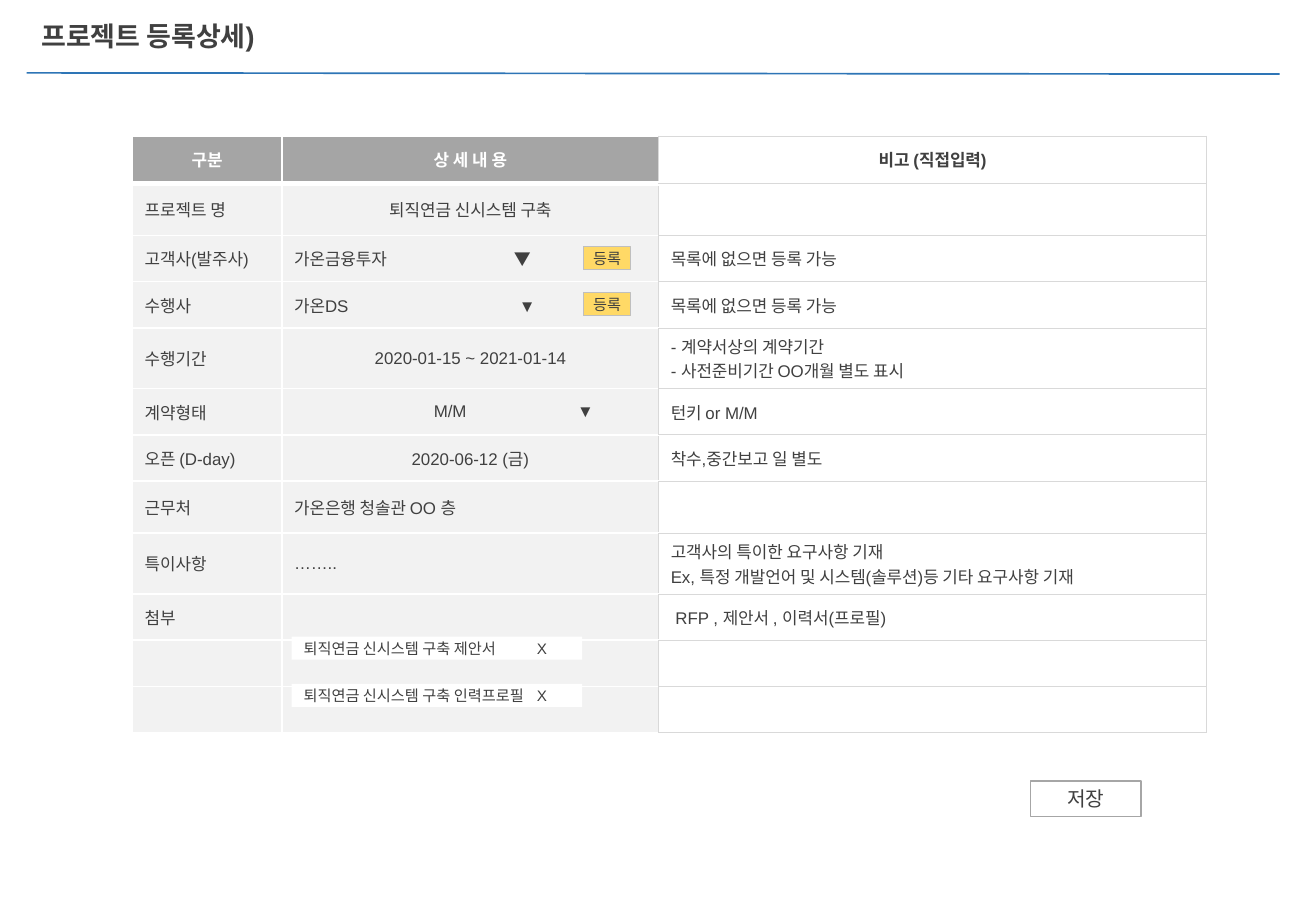
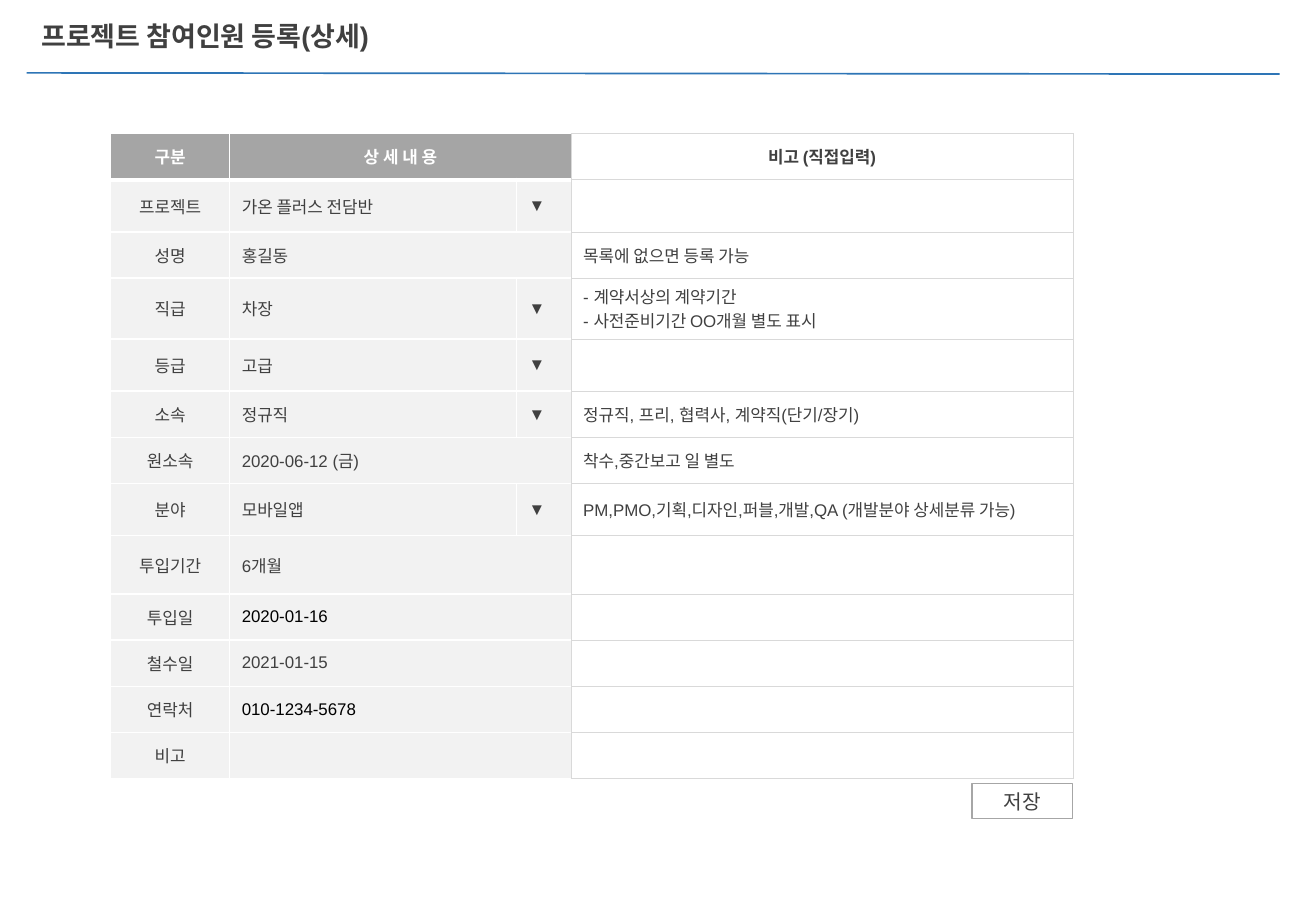
import pptx
import pptx.dml.color
import pptx.enum.shapes
import pptx.enum.text
import pptx.oxml.ns
import pptx.util
from lxml import etree

Inches = pptx.util.Inches
Pt = pptx.util.Pt
qn = pptx.oxml.ns.qn
ALIGN = pptx.enum.text.PP_ALIGN
MIDDLE = pptx.enum.text.MSO_ANCHOR.MIDDLE

COLORS = {
    "white": "FFFFFF", "black": "000000", "text": "404040", "rule": "2E75B6",
    "header": "A5A5A5", "cell": "F2F2F2", "grid": "D9D9D9",
    "amber": "FFD966", "amber_line": "BFBFBF", "button_line": "A6A6A6",
}

HEADER = "구분", "상 세 내 용", "비고 (직접입력)"
PERIOD_NOTE = "- 계약서상의 계약기간\n- 사전준비기간 OO개월 별도 표시"
LIST_NOTE = "목록에 없으면 등록 가능"
DATE_NOTE = "착수,중간보고 일 별도"
OPEN_DATE = "2020-06-12 (금)"
CENTER = {"align": ALIGN.CENTER}
BLACK = {"color": "black"}

PROJECT_ROWS = [
    HEADER,
    ("프로젝트 명", ("퇴직연금 신시스템 구축", CENTER), ""),
    ("고객사(발주사)", ("가온금융투자\t▼", {"tabs": [1.81]}), LIST_NOTE),
    ("수행사", ("가온DS\t▼", {"tabs": [1.85]}), LIST_NOTE),
    ("수행기간", ("2020-01-15 ~ 2021-01-14", CENTER), PERIOD_NOTE),
    ("계약형태", ("\tM/M\t▼", {"tabs": [1.15, 2.33]}), "턴키 or M/M"),
    ("오픈 (D-day)", (OPEN_DATE, CENTER), DATE_NOTE),
    ("근무처", "가온은행 청솔관 OO 층", ""),
    ("특이사항", "……..", "고객사의 특이한 요구사항 기재\n"
     "Ex, 특정 개발언어 및 시스템(솔루션)등 기타 요구사항 기재"),
    ("첨부", "", " RFP , 제안서 , 이력서(프로필)"),
    ("", "", ""),
    ("", "", ""),
]
PROJECT_HEIGHTS = [0.39, 0.43, 0.38, 0.38, 0.43, 0.38,
                   0.38, 0.43, 0.48, 0.38, 0.38, 0.38]

MEMBER_ROWS = [
    (HEADER[0], HEADER[1], None, HEADER[2]),
    ("프로젝트", "가온 플러스 전담반", "▼", ""),
    ("성명", "홍길동", None, LIST_NOTE),
    ("직급", "차장", "▼", PERIOD_NOTE),
    ("등급", "고급", "▼", ""),
    ("소속", "정규직", "▼", "정규직, 프리, 협력사, 계약직(단기/장기)"),
    ("원소속", OPEN_DATE, None, DATE_NOTE),
    ("분야", "모바일앱", "▼", "PM,PMO,기획,디자인,퍼블,개발,QA (개발분야 상세분류 가능)"),
    ("투입기간", "6개월", None, ""),
    ("투입일", ("2020-01-16", BLACK), None, ""),
    ("철수일", "2021-01-15", None, ""),
    ("연락처", ("010-1234-5678", BLACK), None, ""),
    ("비고", "", None, ""),
]
MEMBER_HEIGHTS = [0.38, 0.43, 0.38, 0.43, 0.43, 0.38, 0.38,
                  0.43, 0.48, 0.38, 0.38, 0.38, 0.38]


def rgb(name):
    """Return the named colour."""
    return pptx.dml.color.RGBColor.from_string(COLORS[name])


def write(tf, text, size=10, font="Arial", color="text", bold=False,
          align=ALIGN.LEFT, tabs=()):
    """Write one paragraph per line of text in a single format."""
    for i, line in enumerate(text.split("\n")):
        p = tf.paragraphs[0] if i == 0 else tf.add_paragraph()
        p.alignment = align
        if tabs:
            tab_list = etree.SubElement(p._p.get_or_add_pPr(), qn("a:tabLst"))
            for stop in tabs:
                etree.SubElement(tab_list, qn("a:tab"), pos=str(Inches(stop)), algn="l")
        if not line:
            etree.SubElement(p._p, qn("a:endParaRPr"), sz=str(size * 100))
            continue
        r = p.add_run()
        r.text = line
        r.font.size = Pt(size)
        r.font.name = font
        r.font.bold = bold
        r.font.color.rgb = rgb(color)


def set_borders(cell, **sides):
    """Draw the L, R, T and B borders, each given as (colour, points)."""
    tc_pr = cell._tc.get_or_add_tcPr()
    for i, side in enumerate("LRTB"):
        color, width = sides[side]
        ln = etree.Element(qn("a:ln" + side), w=str(Pt(width)))
        fill = etree.SubElement(ln, qn("a:solidFill"))
        etree.SubElement(fill, qn("a:srgbClr"), val=COLORS[color])
        tc_pr.insert(i, ln)


def style_cell(cell, is_header, is_remark, meets_remark):
    """Fill and border a cell by its place in the table."""
    cell.vertical_anchor = MIDDLE
    cell.fill.solid()
    fill = "white" if is_remark else "header" if is_header else "cell"
    cell.fill.fore_color.rgb = rgb(fill)
    grid, gap = ("grid", 0.5), ("white", 1)
    edge = grid if is_remark else gap
    bottom = ("white", 3) if is_header and not is_remark else edge
    set_borders(cell, L=edge, R=grid if meets_remark else edge, T=edge, B=bottom)


def add_form(s, left, top, widths, heights, rows, label_align=ALIGN.LEFT):
    """Add a form table; None merges a cell into the one on its left."""
    table = s.shapes.add_table(
        len(rows), len(widths), Inches(left), Inches(top),
        Inches(sum(widths)), Inches(sum(heights))).table
    table.first_row = table.horz_banding = False
    for column, width in zip(table.columns, widths):
        column.width = Inches(width)
    for row, height in zip(table.rows, heights):
        row.height = Inches(height)
    last = len(widths) - 1
    for i, row in enumerate(rows):
        for j, value in enumerate(row):
            cell = table.cell(i, j)
            if value is None:
                table.cell(i, j - 1).merge(cell)
            merges = j < last and row[j + 1] is None
            style_cell(cell, i == 0, j == last, j + 1 + merges == last)
            text, options = value if isinstance(value, tuple) else (value or "", {})
            if i == 0:
                options = {"align": ALIGN.CENTER, "bold": True,
                           "color": "text" if j == last else "white"}
            elif j == 0:
                options = {"align": label_align}
            write(cell.text_frame, text, **options)


def add_box(s, text, left, top, width, height, fill="white", line=None,
            inset=0.1, **text_format):
    """Add a rectangle holding one line of text."""
    sp = s.shapes.add_shape(
        pptx.enum.shapes.MSO_SHAPE.RECTANGLE,
        Inches(left), Inches(top), Inches(width), Inches(height))
    sp.shadow.inherit = False
    sp.fill.solid()
    sp.fill.fore_color.rgb = rgb(fill)
    if line:
        sp.line.color.rgb = rgb(line)
        sp.line.width = Pt(0.75)
    else:
        sp.line.fill.background()
    tf = sp.text_frame
    tf.word_wrap = True
    tf.vertical_anchor = MIDDLE
    tf.margin_left = tf.margin_right = Inches(inset)
    write(tf, text, **text_format)


def add_save_button(s, left, top, width):
    """Add the save button."""
    add_box(s, "저장", left, top, width, 0.29, line="button_line",
            size=12, font="Calibri", align=ALIGN.CENTER)


def add_titled_slide(prs, title):
    """Add a slide with the shared title style and header rule."""
    s = prs.slides.add_slide(prs.slide_layouts[5])
    sp = s.shapes.title
    sp.left, sp.top, sp.width, sp.height = map(Inches, (0.24, 0.14, 5.17, 0.31))
    tf = sp.text_frame
    tf.auto_size = pptx.enum.text.MSO_AUTO_SIZE.NONE
    tf.word_wrap = True
    tf.vertical_anchor = MIDDLE
    write(tf, title, size=16, bold=True)
    rule = s.shapes.add_connector(
        pptx.enum.shapes.MSO_CONNECTOR.STRAIGHT,
        Inches(0.22), Inches(0.6), Inches(10.53), Inches(0.61))
    rule.line.color.rgb = rgb("rule")
    rule.line.width = Pt(1)
    etree.SubElement(rule._element.spPr, qn("a:effectLst"))
    return s


def build_project(prs):
    """Build the project registration form."""
    s = add_titled_slide(prs, "프로젝트 등록상세)")
    add_form(s, 1.09, 1.12, [1.23, 3.1, 4.51], PROJECT_HEIGHTS, PROJECT_ROWS)
    for top in (2.03, 2.41):
        add_box(s, "등록", 4.8, top, 0.39, 0.19, fill="amber", line="amber_line",
                inset=0.04, size=9, font="Calibri", align=ALIGN.CENTER)
    for top, name in ((5.24, "제안서"), (5.63, "인력프로필")):
        add_box(s, f"퇴직연금 신시스템 구축 {name}\tX", 2.4, top, 2.39, 0.19,
                size=9, tabs=[1.92])
    add_save_button(s, 8.48, 6.43, 0.91)


def build_member(prs):
    """Build the project member registration form."""
    s = add_titled_slide(prs, "프로젝트 참여인원 등록(상세)")
    add_form(s, 0.91, 1.1, [0.98, 2.36, 0.45, 4.13], MEMBER_HEIGHTS,
             MEMBER_ROWS, label_align=ALIGN.CENTER)
    add_save_button(s, 8, 6.45, 0.83)


def main():
    """Build and save the presentation."""
    prs = pptx.Presentation()
    prs.slide_width, prs.slide_height = Inches(10.83), Inches(7.5)
    build_project(prs)
    build_member(prs)
    prs.save("out.pptx")


main()
